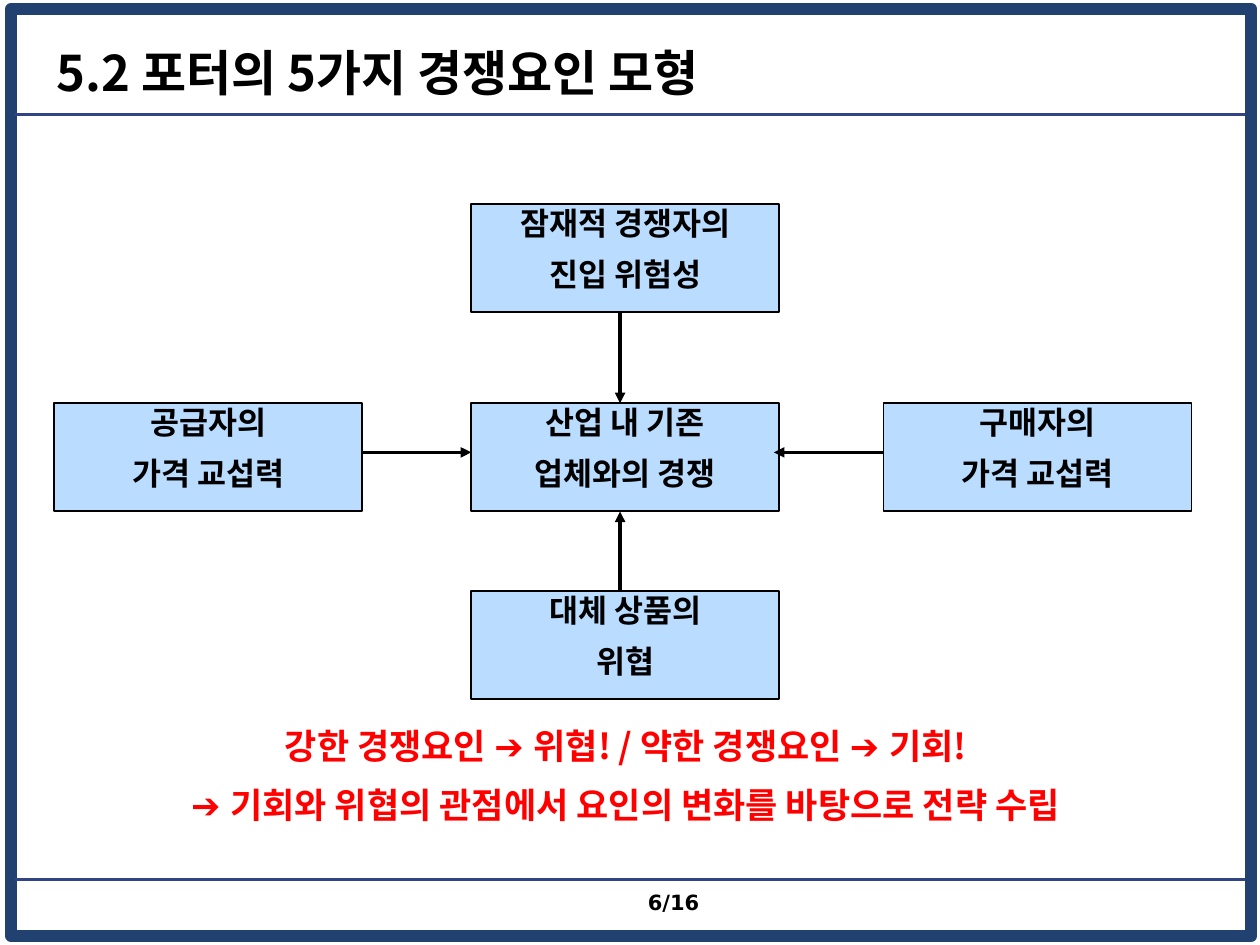
from lxml import etree
from pptx import Presentation
from pptx.dml.color import RGBColor
from pptx.enum.shapes import MSO_CONNECTOR, MSO_SHAPE
from pptx.enum.text import MSO_ANCHOR, MSO_AUTO_SIZE, PP_ALIGN
from pptx.oxml.ns import qn
from pptx.util import Cm, Pt

COLORS = {"frame": "214171", "rule": "314486", "box": "B9DCFF",
          "black": "000000", "red": "FF0000"}
KOREAN, LATIN, NUMBER = "Noto Sans CJK KR", "Arial", "DejaVu Sans"


def rgb(name):
    return RGBColor.from_string(COLORS[name])


class Deck:
    def __init__(self):
        self.prs = Presentation()
        self.prs.slide_width, self.prs.slide_height = Cm(25.4), Cm(19.05)
        self.s = self.prs.slides.add_slide(self.prs.slide_layouts[5])

    def fill_text(self, sp, paragraphs, size, color="black", anchor=MSO_ANCHOR.TOP, **fmt):
        """Each paragraph is a list of (text, font) runs."""
        tf = sp.text_frame
        for name, value in {"word_wrap": True, "auto_size": MSO_AUTO_SIZE.NONE,
                            "vertical_anchor": anchor}.items():
            setattr(tf, name, value)
        for i, runs in enumerate(paragraphs):
            p = tf.add_paragraph() if i else tf.paragraphs[0]
            for name, value in fmt.items():
                if i or name != "space_before":
                    setattr(p, name, value)
            for text, font in runs:
                r = p.add_run()
                r.text = text
                for name, value in {"size": Pt(size), "bold": True, "name": font}.items():
                    setattr(r.font, name, value)
                r.font.color.rgb = rgb(color)
                ea = etree.SubElement(r.font._element, qn("a:ea"))
                ea.set("typeface", font)

    def title(self, text, x, y, w, h):
        sp = self.s.shapes.title
        sp.left, sp.top, sp.width, sp.height = map(Cm, (x, y, w, h))
        self.fill_text(sp, [[(text, KOREAN)]], 28, anchor=MSO_ANCHOR.MIDDLE,
                       alignment=PP_ALIGN.LEFT)

    def rect(self, x, y, w, h, line, width, fill=None):
        sp = self.s.shapes.add_shape(MSO_SHAPE.RECTANGLE, *map(Cm, (x, y, w, h)))
        sp.shadow.inherit = False
        if fill:
            sp.fill.solid()
            sp.fill.fore_color.rgb = rgb(fill)
        else:
            sp.fill.background()
        sp.line.color.rgb = rgb(line)
        sp.line.width = Pt(width)
        return sp

    def box(self, x, y, w, h, lines):
        sp = self.rect(x, y, w, h, "black", 1, "box")
        self.fill_text(sp, [[(text, KOREAN)] for text in lines], 18,
                       alignment=PP_ALIGN.CENTER, space_before=Pt(11.2), line_spacing=0.83)

    def text(self, x, y, w, h, paragraphs, size, **fmt):
        sp = self.s.shapes.add_textbox(*map(Cm, (x, y, w, h)))
        self.fill_text(sp, paragraphs, size, **fmt)

    def line(self, x1, y1, x2, y2, color, arrow=False):
        c = self.s.shapes.add_connector(MSO_CONNECTOR.STRAIGHT, *map(Cm, (x1, y1, x2, y2)))
        c.line.color.rgb = rgb(color)
        c.line.width = Pt(2)
        if arrow:
            ln = c._element.spPr.find(qn("a:ln"))
            etree.SubElement(ln, qn("a:tailEnd")).set("type", "triangle")
        etree.SubElement(c._element.spPr, qn("a:effectLst"))


def main():
    d = Deck()

    # Frame, rules, page number and title
    d.rect(0.23, 0.18, 24.99, 18.69, "frame", 7)
    for y in (2.31, 17.73):
        d.line(0.3, y, 25.1, y, "rule")
    d.text(11.02, 17.81, 3.33, 0.84, [[("6/16", NUMBER)]], 12, alignment=PP_ALIGN.RIGHT)
    d.title("5.2 포터의 5가지 경쟁요인 모형", 0.89, 0.76, 24, 1.37)

    # Five forces: the rivals in the centre, one force on each side
    w, h = 6.21, 2.18
    left, mid, right = 1.09, 9.5, 17.81
    top, centre, bottom = 4.11, 8.13, 11.91
    for x, y, lines in (
        (mid, top, ("잠재적 경쟁자의", "진입 위험성")),
        (left, centre, ("공급자의", "가격 교섭력")),
        (right, centre, ("구매자의", "가격 교섭력")),
        (mid, centre, ("산업 내 기존", "업체와의 경쟁")),
        (mid, bottom, ("대체 상품의", "위협")),
    ):
        d.box(x, y, w, h, lines)

    # Arrows pointing to the centre
    ax, ay = 12.5, 9.12
    for ends in ((left + w, ay, mid, ay), (right, ay, mid + w - 0.11, ay),
                 (ax, top + h, ax, centre), (ax, bottom, ax, centre + h)):
        d.line(*ends, "black", arrow=True)

    # Conclusion
    arrow = ("➔ ", LATIN)
    d.text(2.11, 14.33, 21.01, 2.82, [
        [("강한 경쟁요인 ", KOREAN), arrow, ("위협! / 약한 경쟁요인 ", KOREAN),
         arrow, ("기회!", KOREAN)],
        [arrow, ("기회와 위협의 관점에서 요인의 변화를 바탕으로 전략 수립", KOREAN)],
    ], 20, color="red", alignment=PP_ALIGN.CENTER, space_before=Pt(5), line_spacing=1.19)

    d.prs.save("out.pptx")


if __name__ == "__main__":
    main()
